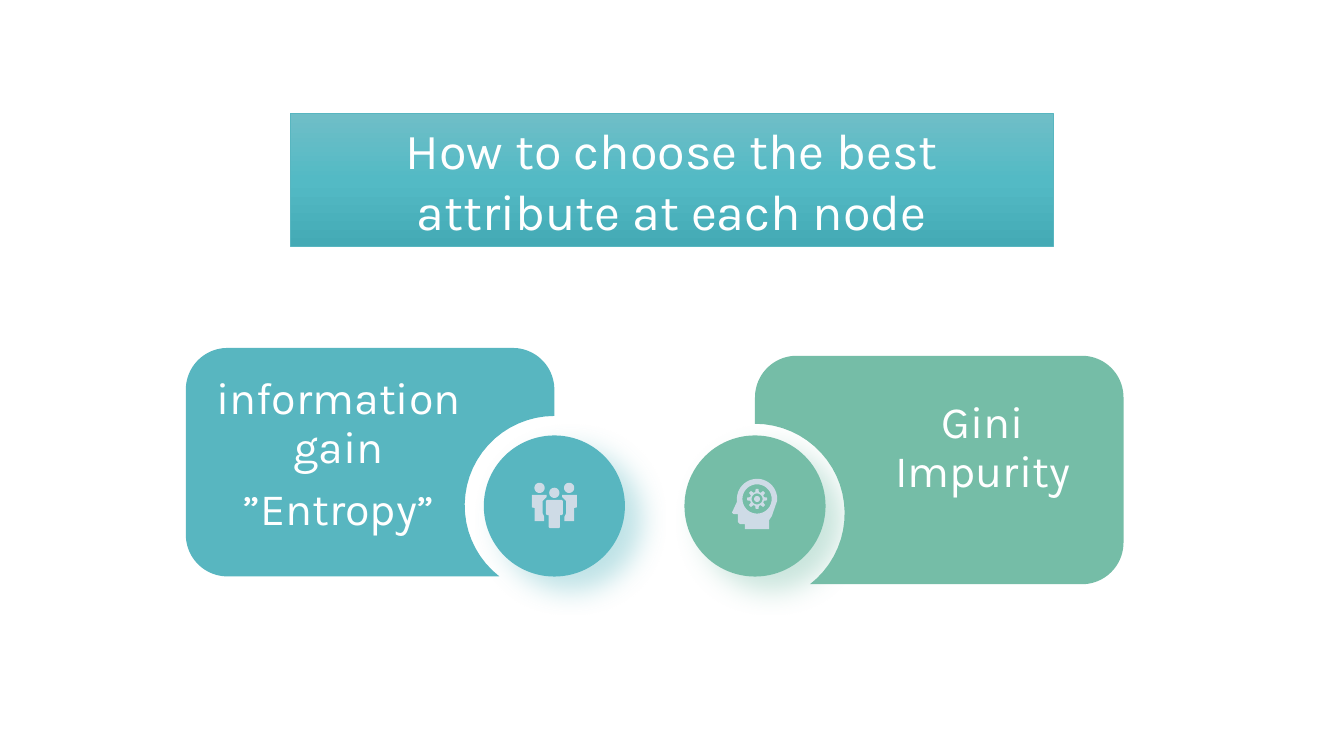
"""Build a slide on how a decision tree chooses the best attribute at each node."""
from math import asin, cos, degrees, radians, sin

from lxml.etree import SubElement
from pptx import Presentation
from pptx.dml.color import RGBColor
from pptx.enum.shapes import MSO_SHAPE
from pptx.enum.text import MSO_ANCHOR, MSO_AUTO_SIZE, PP_ALIGN
from pptx.oxml import parse_xml
from pptx.oxml.ns import nsdecls, qn
from pptx.util import Emu, Inches, Pt

WIDTH, HEIGHT = 12192000, Inches(7.5)
UNIT = WIDTH / 100
FONT = "Karla"
TEAL = RGBColor(0x58, 0xB6, 0xC0)
GREEN = RGBColor(0x75, 0xBD, 0xA7)
ICON = RGBColor(0xCE, 0xDB, 0xE6)
WHITE = RGBColor(0xFF, 0xFF, 0xFF)
TITLE_STOPS = (
    (0, RGBColor(0x6F, 0xBE, 0xC7)),
    (50, RGBColor(0x53, 0xBA, 0xC5)),
    (100, RGBColor(0x44, 0xAA, 0xB5)),
)
BADGE_Y, BADGE_SIZE = 37.65, 10.5
CARD_W, CARD_H, CORNER = 27.42, 17, 3.1
NOTCH_R, NOTCH_DROP = 6.67, 11.73


def u(n):
    """Turn hundredths of the slide's width into a length."""
    return Emu(round(n * UNIT))


def arc(cx, cy, r, start, end, steps=24):
    """Give points along an arc, with angles in degrees clockwise from the right."""
    angles = [radians(start + (end - start) * i / steps) for i in range(steps + 1)]
    return [(cx + r * cos(a), cy + r * sin(a)) for a in angles]


def circle(cx, cy, r):
    """Give the points of a full circle."""
    return arc(cx, cy, r, 0, 360, 36)


def mirror(points):
    """Flip points left to right."""
    return [(-x, y) for x, y in points]


def add_outline(s, cx, cy, contours, color):
    """Draw contours, given relative to a centre, as one filled freeform."""
    placed = [[(u(cx + x), u(cy + y)) for x, y in c] for c in contours]
    builder = s.shapes.build_freeform(*placed[0][0])
    builder.add_line_segments(placed[0][1:])
    for contour in placed[1:]:
        builder.move_to(*contour[0])
        builder.add_line_segments(contour[1:])
    sp = builder.convert_to_shape()
    sp.shadow.inherit = False
    sp.fill.solid()
    sp.fill.fore_color.rgb = color
    sp.line.fill.background()


def add_badge(s, cx, color):
    """Draw a round badge with a soft shadow in its own colour."""
    left, top = cx - BADGE_SIZE / 2, BADGE_Y - BADGE_SIZE / 2
    sp = s.shapes.add_shape(MSO_SHAPE.OVAL, u(left), u(top), u(BADGE_SIZE), u(BADGE_SIZE))
    sp.shadow.inherit = False
    sp.fill.solid()
    sp.fill.fore_color.rgb = color
    sp.line.fill.background()
    effects = sp._element.spPr.find(qn("a:effectLst"))
    shadow = SubElement(effects, qn("a:outerShdw"), blurRad=str(Pt(20)),
                        dist=str(Pt(15)), dir=str(40 * 60000), rotWithShape="0")
    tint = SubElement(shadow, qn("a:srgbClr"), val=str(color))
    SubElement(tint, qn("a:alpha"), val="38000")


def add_card(s, cx, cy, color, flip):
    """Draw a rounded card whose inner lower corner is notched around a badge."""
    top, bottom = -NOTCH_DROP, CARD_H - NOTCH_DROP
    far = CARD_W - CORNER
    points = (arc(0, 0, NOTCH_R, -90, degrees(asin(bottom / NOTCH_R)))
              + arc(far, bottom - CORNER, CORNER, 90, 0)
              + arc(far, top + CORNER, CORNER, 0, -90)
              + arc(CORNER, top + CORNER, CORNER, -90, -180))
    add_outline(s, cx, cy, [mirror(points) if flip else points], color)


def add_people(s, cx):
    """Draw a group of three people."""
    side = [(0.57, -0.82), (0.57, -0.68), (0.87, -0.37), (0.87, 0.55), (0.75, 0.8),
            (0.75, 1.12), (1.47, 1.12), (1.47, 0.15), (1.68, 0.1), (1.68, -0.82)]
    half = [(0.55, -0.45), (0.63, -0.37), (0.63, 0.6), (0.55, 0.68),
            (0.42, 0.68), (0.42, 1.57), (0.34, 1.65)]
    heads = [circle(x, y, 0.38) for x, y in ((-1.1, -1.35), (0, -0.98), (1.1, -1.35))]
    middle = half + mirror(half)[::-1]
    add_outline(s, cx, BADGE_Y, heads + [side, mirror(side), middle], ICON)


def add_thinker(s, cx):
    """Draw a head in profile with a gear inside."""
    x, y = 0.15, -0.52
    face = [(1.25, 0.75), (1.05, 1.05), (1.05, 1.72), (-0.75, 1.72), (-0.75, 1.35),
            (-1.12, 1.35), (-1.27, 1.2), (-1.27, 0.6), (-1.6, 0.6), (-1.72, 0.5),
            (-1.35, -0.3)]
    tooth = ((-15, 0.53), (-8, 0.75), (8, 0.75), (15, 0.53))
    gear = [(x + r * cos(radians(45 * k + a)), y + r * sin(radians(45 * k + a)))
            for k in range(8) for a, r in tooth]
    holes = [circle(x, y, r) for r in (1.09, 0.41, 0.22)]
    add_outline(s, cx, BADGE_Y, [arc(x, y, 1.5, 185, 365) + face, gear] + holes, ICON)


def format_text(p, size):
    """Centre a paragraph and set its font."""
    p.alignment = PP_ALIGN.CENTER
    p.font.name = FONT
    p.font.size = Pt(size)
    p.font.color.rgb = WHITE


def add_label(s, left, top, width, lines):
    """Write the lines of a card's label."""
    tf = s.shapes.add_textbox(u(left), u(top), u(width), u(3.08)).text_frame
    tf.word_wrap = True
    tf.text = "\n".join(lines)
    for p in tf.paragraphs:
        format_text(p, 32)
        p.line_spacing = 0.9
        p.space_before = Pt(10)


def set_title(s, text):
    """Place the title in a bar with a vertical gradient."""
    sp = s.shapes.title
    sp.left, sp.top, sp.width, sp.height = u(21.6), u(8.47), u(56.77), u(9.85)
    stops = "".join(f'<a:gs pos="{pos * 1000}"><a:srgbClr val="{color}"/></a:gs>'
                    for pos, color in TITLE_STOPS)
    sp._element.spPr.append(parse_xml(
        f'<a:gradFill {nsdecls("a")} rotWithShape="1"><a:gsLst>{stops}</a:gsLst>'
        '<a:lin ang="5400000" scaled="0"/></a:gradFill>'))
    sp.line.color.rgb = TEAL
    sp.line.width = Pt(0.5)
    tf = sp.text_frame
    tf.text = text
    tf.word_wrap = True
    tf.auto_size = MSO_AUTO_SIZE.NONE
    tf.vertical_anchor = MSO_ANCHOR.MIDDLE
    tf.margin_left = tf.margin_right = u(2)
    format_text(tf.paragraphs[0], 36)


def main():
    """Build and save the slide."""
    prs = Presentation()
    prs.slide_width, prs.slide_height = WIDTH, HEIGHT
    s = prs.slides.add_slide(prs.slide_layouts[5])
    set_title(s, "How to choose the best attribute at each node")
    entropy_x, gini_x = 41.25, 56.18
    add_badge(s, gini_x, GREEN)
    add_badge(s, entropy_x, TEAL)
    add_people(s, entropy_x)
    add_thinker(s, gini_x)
    add_card(s, gini_x, 38.2, GREEN, flip=False)
    add_card(s, entropy_x, 37.62, TEAL, flip=True)
    add_label(s, 13.5, 27.6, 23.4, ["information gain", "”Entropy”"])
    add_label(s, 65.78, 29.4, 14.7, ["Gini Impurity"])
    prs.save("out.pptx")


if __name__ == "__main__":
    main()
